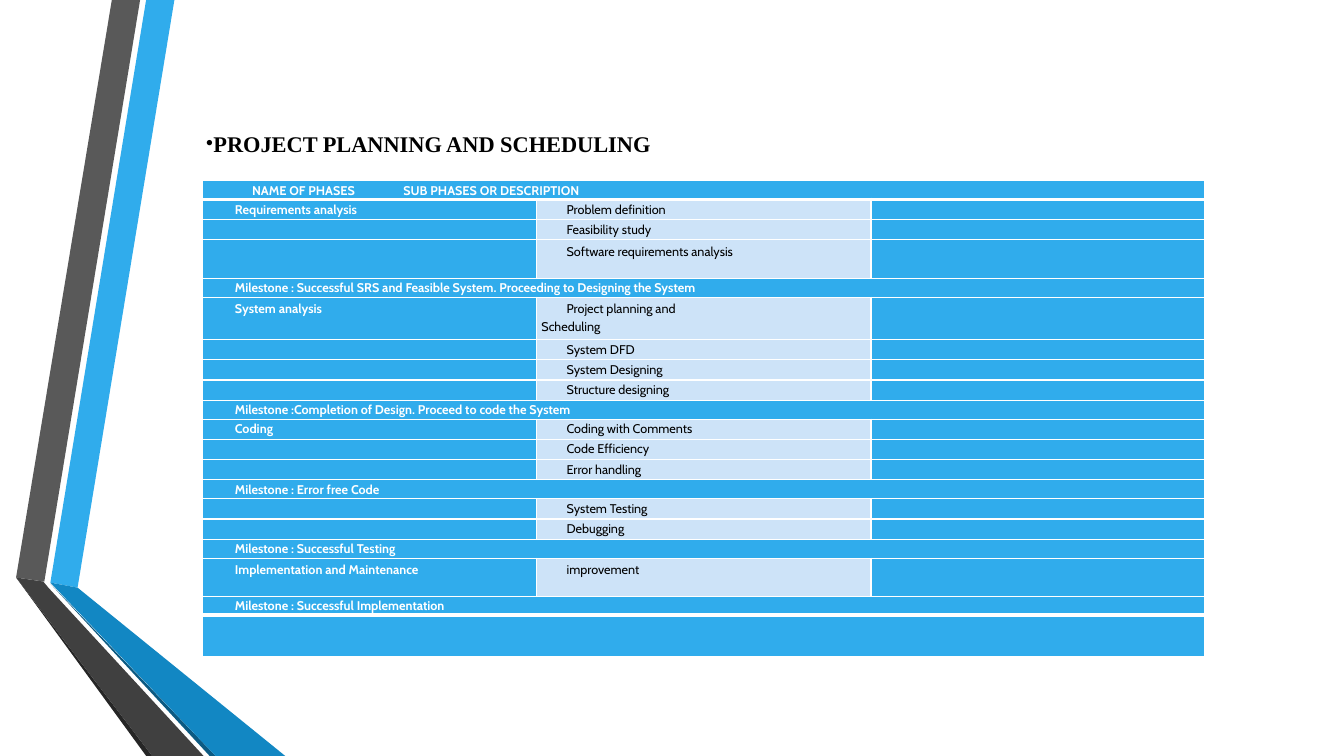
from lxml.etree import SubElement
from pptx import Presentation
from pptx.dml.color import RGBColor
from pptx.enum.text import MSO_ANCHOR, PP_ALIGN
from pptx.oxml import parse_xml
from pptx.oxml.ns import nsdecls, qn
from pptx.util import Inches, Pt

COLORS = {
    "blue": "30ACEC", "pale": "CDE3F8", "deep_blue": "1287C3", "navy": "0C5A82",
    "gray": "595959", "dark_gray": "404040", "charcoal": "262626",
    "white": "FFFFFF", "black": "000000",
}


def color(name):
    return RGBColor.from_string(COLORS[name])


def write(paragraph, text, font_name, size, color_name, bold):
    run = paragraph.add_run()
    run.text = text
    run.font.name = font_name
    run.font.size = Pt(size)
    run.font.bold = bold
    run.font.color.rgb = color(color_name)


presentation = Presentation()
presentation.slide_width = Inches(13.33)
presentation.slide_height = Inches(7.5)
slide = presentation.slides.add_slide(presentation.slide_layouts[5])

ribbons = [
    ("blue", [(0.5, 5.78), (0.77, 5.83), (1.73, 0), (1.45, 0)]),
    ("gray", [(1.39, 0), (1.11, 0), (0.16, 5.73), (0.44, 5.77)]),
    ("charcoal", [(0.16, 5.73), (1.45, 7.5), (1.51, 7.5)]),
    ("navy", [(0.5, 5.79), (2.08, 7.5), (2.14, 7.5)]),
    ("deep_blue", [(0.5, 5.78), (2.14, 7.5), (2.83, 7.5), (0.77, 5.83)]),
    ("dark_gray", [(2.02, 7.5), (0.48, 5.83), (0.43, 5.77), (0.16, 5.73), (1.51, 7.5)]),
]
for ribbon_color, points in ribbons:
    corners = [(Inches(x), Inches(y)) for x, y in points]
    builder = slide.shapes.build_freeform(*corners[0])
    builder.add_line_segments(corners[1:], close=True)
    ribbon = builder.convert_to_shape()
    ribbon.shadow.inherit = False
    ribbon.fill.solid()
    ribbon.fill.fore_color.rgb = color(ribbon_color)
    ribbon.line.fill.background()

title = slide.shapes.title
title.left, title.top = Inches(1.73), Inches(1.2)
title.width, title.height = Inches(10.2), Inches(0.44)
title.text_frame.vertical_anchor = MSO_ANCHOR.MIDDLE
heading = title.text_frame.paragraphs[0]
heading.alignment = PP_ALIGN.LEFT
heading_props = heading._p.get_or_add_pPr()
heading_props.set("marL", "0")
heading_props.set("indent", str(Inches(0.21)))
SubElement(heading_props, qn("a:buFont"), typeface="Times New Roman")
SubElement(heading_props, qn("a:buChar"), char="•")
write(heading, "PROJECT PLANNING AND SCHEDULING", "Times New Roman", 16, "black", True)

# Each row: height, line spacing, phase, sub phase lines (None spans all columns)
schedule = [
    (0.19, 12.8, "NAME OF PHASES\tSUB PHASES OR DESCRIPTION", None),
    (0.2, 12.6, "Requirements analysis", ["Problem definition"]),
    (0.2, 12.6, "", ["Feasibility study"]),
    (0.38, 13.8, "", ["Software requirements analysis"]),
    (0.19, 12.6, "Milestone : Successful SRS and Feasible System. Proceeding to Designing the System", None),
    (0.42, 13.6, "System analysis", ["Project planning and", "Scheduling"]),
    (0.2, 12.8, "", ["System DFD"]),
    (0.2, 12.6, "", ["System Designing"]),
    (0.2, 12.6, "", ["Structure designing"]),
    (0.19, 12.8, "Milestone :Completion of Design. Proceed to code the System", None),
    (0.2, 12.6, "Coding", ["Coding with Comments"]),
    (0.2, 12.6, "", ["Code Efficiency"]),
    (0.2, 12.8, "", ["Error handling"]),
    (0.19, 12.8, "Milestone : Error free Code", None),
    (0.2, 12.6, "", ["System Testing"]),
    (0.2, 12.6, "", ["Debugging"]),
    (0.19, 12.8, "Milestone : Successful Testing", None),
    (0.38, 13.8, "Implementation and Maintenance", ["improvement"]),
    (0.18, 12.3, "Milestone : Successful Implementation", None),
    (0.42, 12.6, "", None),
]
last_row = len(schedule) - 1
table = slide.shapes.add_table(
    len(schedule), 3, Inches(2.01), Inches(1.79), Inches(9.94), Inches(4.73)
).table
table.horz_banding = False
for column, width in zip(table.columns, (3.31, 3.32, 3.31)):
    column.width = Inches(width)

for row_index, (height, spacing, phase, sub_phases) in enumerate(schedule):
    table.rows[row_index].height = Inches(height)
    if sub_phases is None:
        table.cell(row_index, 0).merge(table.cell(row_index, 2))
    phase_indent = 0.49 if row_index == 0 else 0.32
    row_lines = [[phase], sub_phases or [""], [""]]
    for column_index, lines in enumerate(row_lines):
        cell = table.cell(row_index, column_index)
        cell.margin_left = cell.margin_right = cell.margin_top = cell.margin_bottom = 0
        is_sub_phase = column_index == 1 and sub_phases is not None
        cell.fill.solid()
        cell.fill.fore_color.rgb = color("pale" if is_sub_phase else "blue")

        border_widths = {
            "lnL": 1,
            "lnR": 1,
            "lnT": 3 if row_index in (1, last_row) else 1,
            "lnB": 3 if row_index in (0, last_row - 1) else 1,
        }
        for position, (side, points) in enumerate(border_widths.items()):
            cell._tc.get_or_add_tcPr().insert(position, parse_xml(
                f'<a:{side} {nsdecls("a")} w="{Pt(points)}"><a:solidFill>'
                f'<a:srgbClr val="{COLORS["white"]}"/></a:solidFill></a:{side}>'
            ))

        for line_index, line in enumerate(lines):
            frame = cell.text_frame
            paragraph = frame.add_paragraph() if line_index else frame.paragraphs[0]
            if not line:
                SubElement(paragraph._p, qn("a:endParaRPr"), sz="900")
                continue
            indent = 0.05 if line_index else 0.3 if is_sub_phase else phase_indent
            props = paragraph._p.get_or_add_pPr()
            props.set("marL", str(Inches(0.05 if is_sub_phase else indent)))
            props.set("indent", str(Inches(indent - 0.05) if is_sub_phase else 0))
            if "\t" in line:
                tabs = SubElement(props, qn("a:tabLst"))
                SubElement(tabs, qn("a:tab"), pos=str(Inches(3.3)), algn="l")
            paragraph.line_spacing = Pt(12.8 if line_index else spacing)
            write(paragraph, line, "Cabin", 9, "black" if is_sub_phase else "white", not is_sub_phase)

presentation.save("out.pptx")
